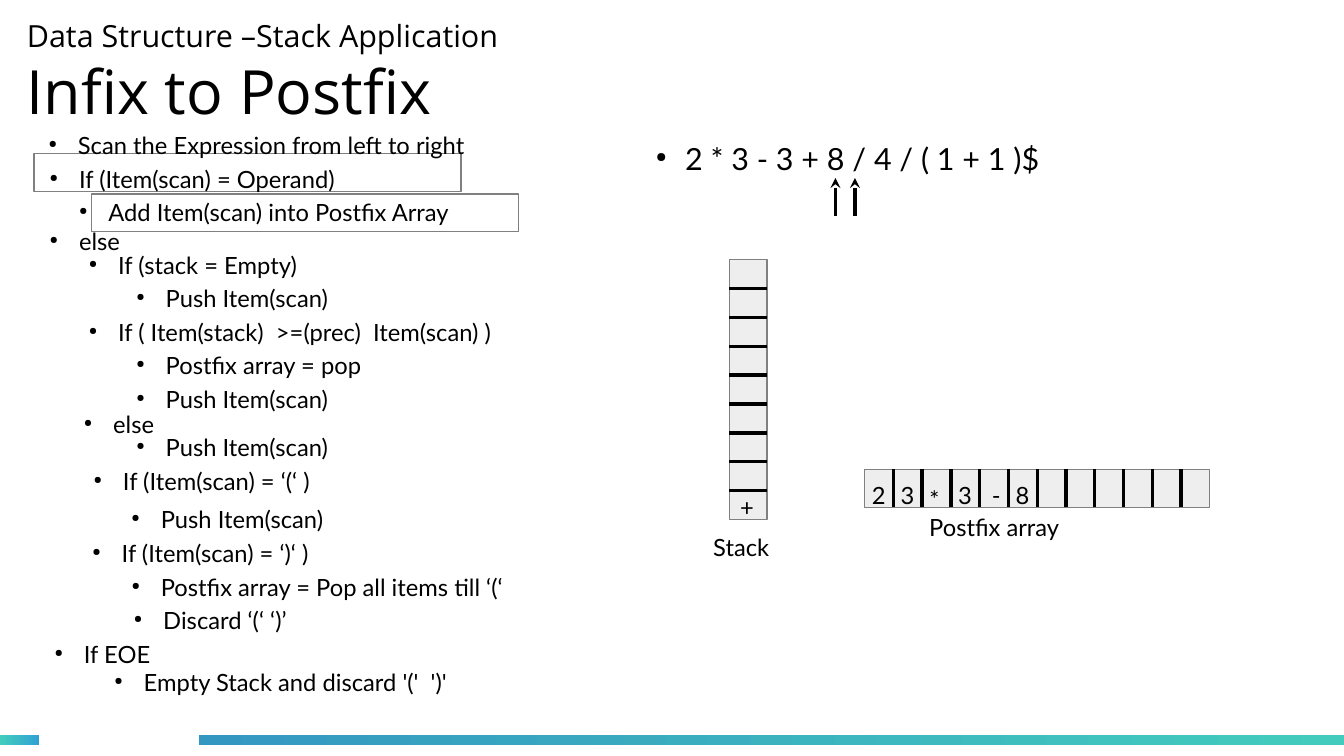
from dataclasses import dataclass

from lxml.etree import SubElement
from pptx import Presentation
from pptx.dml.color import RGBColor
from pptx.enum.shapes import MSO_CONNECTOR, MSO_SHAPE
from pptx.enum.text import MSO_ANCHOR
from pptx.oxml.ns import qn
from pptx.util import Inches, Pt

COLUMNS, ROWS = 1102, 620

TITLE = [("Data Structure –Stack Application", "kicker"), ("Infix to Postfix", "title")]
EXPRESSION = "2 * 3 - 3 + 8 / 4 / ( 1 + 1 )$"
STEPS = [
    (30, 102, 421, "Scan the Expression from left to right"),
    (31, 130, 296, "If (Item(scan) = Operand)"),
    (55, 157, 465, "Add Item(scan) into Postfix Array"),
    (31, 181, 110, "else"),
    (63, 201, 382, "If (stack = Empty)"),
    (102, 228, 220, "Push Item(scan)"),
    (63, 256, 504, "If ( Item(stack)  >=(prec)  Item(scan) )"),
    (102, 283, 237, "Postfix array = pop"),
    (102, 311, 220, "Push Item(scan)"),
    (59, 331, 94, "else"),
    (102, 350, 220, "Push Item(scan)"),
    (67, 378, 237, "If (Item(scan) = ‘(‘ )"),
    (98, 409, 220, "Push Item(scan)"),
    (66, 437, 237, "If (Item(scan) = ‘)‘ )"),
    (98, 465, 425, "Postfix array = Pop all items till ‘(‘"),
    (100, 492, 220, "Discard ‘(‘ ‘)’"),
    (35, 520, 220, "If EOE"),
    (84, 543, 347, "Empty Stack and discard '('  ')'"),
]
HIGHLIGHTS = [(28, 126, 350, 31), (75, 159, 350, 31)]
SCAN_ARROWS = [685, 701]
STACK = {"area": (598, 213, 31, 213), "slots": 9, "vertical": True}
ARRAY = {"area": (709, 385, 283, 31), "slots": 12, "vertical": False}
ARRAY_ITEMS = [("2", 0, 0), ("3", 0, 0), ("*", 0, 4), ("3", 0, 0), ("-", 4, 0), ("8", 0, 0)]
LABELS = [
    ((752, 416, 142, 36), "Postfix array"),
    ((575, 432, 74, 36), "Stack"),
    ((597, 399, 36, 36), "+"),
]


@dataclass(frozen=True)
class Theme:
    ink: str = "000000"
    paper: str = "FFFFFF"
    slot: str = "EEEEEE"
    edge: str = "808080"
    teal: str = "43CCBD"
    sky: str = "30A2D2"
    blue: str = "3497C1"
    heading: str = "Open Sans"
    body: str = "Lato"
    title: int = 36
    kicker: int = 18
    expression: int = 18
    text: int = 14


theme = Theme()
deck = Presentation()
deck.slide_width, deck.slide_height = Inches(11.02), Inches(6.2)
page = deck.slides.add_slide(deck.slide_layouts[6])


def place(*cells):
    sizes = (deck.slide_width / COLUMNS, deck.slide_height / ROWS)
    return [round(cell * sizes[index % 2]) for index, cell in enumerate(cells)]


def add_text(area, *lines, size=theme.text, font=theme.body, bullet=False,
             margins=(10, 5), anchor=MSO_ANCHOR.TOP):
    frame = page.shapes.add_textbox(*place(*area)).text_frame
    frame.word_wrap = True
    frame.vertical_anchor = anchor
    frame.margin_left, frame.margin_top = place(*margins)
    frame.margin_right, frame.margin_bottom = place(*margins)
    for index, line in enumerate(lines):
        words, points = line if isinstance(line, tuple) else (line, size)
        para = frame.add_paragraph() if index else frame.paragraphs[0]
        span = para.add_run()
        span.text = words
        span.font.size, span.font.name = Pt(points), font
        span.font.color.rgb = RGBColor.from_string(theme.ink)
        if bullet:
            add_bullet(para)


def add_bullet(para):
    properties = para._p.get_or_add_pPr()
    properties.set("marL", str(Inches(0.24)))
    properties.set("indent", str(-Inches(0.24)))
    color = SubElement(properties, qn("a:buClr"))
    SubElement(color, qn("a:srgbClr"), val=theme.ink)
    SubElement(properties, qn("a:buSzPct"), val="45000")
    SubElement(properties, qn("a:buChar"), char="●")


def add_box(shapes, area, fill):
    box = shapes.add_shape(MSO_SHAPE.RECTANGLE, *place(*area))
    box.shadow.inherit = False
    box.fill.solid()
    box.fill.fore_color.rgb = RGBColor.from_string(fill)
    box.line.color.rgb = RGBColor.from_string(theme.edge)
    box.line.width = Pt(0)


def add_bar(area, start, end):
    bar = page.shapes.add_shape(MSO_SHAPE.RECTANGLE, *place(*area))
    bar.shadow.inherit = False
    bar.line.fill.background()
    bar.fill.gradient()
    bar.fill.gradient_angle = 0
    for stop, color in zip(bar.fill.gradient_stops, (start, end)):
        stop.color.rgb = RGBColor.from_string(color)


def add_line(shapes, ends, arrow=False):
    line = shapes.add_connector(MSO_CONNECTOR.STRAIGHT, *place(*ends))
    line.line.color.rgb = RGBColor.from_string(theme.ink)
    line.line.width = Pt(0)
    if arrow:
        SubElement(line.line._get_or_add_ln(), qn("a:tailEnd"), type="stealth")
    SubElement(line._element.spPr, qn("a:effectLst"))


def add_slots(area, slots, vertical):
    left, top, width, height = area
    shapes = page.shapes.add_group_shape().shapes
    add_box(shapes, area, theme.slot)
    for index in range(1, slots):
        if vertical:
            row = top + height * index / slots
            add_line(shapes, (left, row, left + width, row))
        else:
            column = left + width * index / slots
            add_line(shapes, (column, top + height, column, top))


def main():
    add_bar((0, 603, 32, 8), theme.teal, theme.sky)
    add_bar((163, 603, COLUMNS - 163, 8), theme.blue, theme.teal)
    add_text((22, 8, 1002, 102), *[(words, getattr(theme, role)) for words, role in TITLE],
             font=theme.heading, margins=(0, 0), anchor=MSO_ANCHOR.MIDDLE)
    add_text((528, 110, 390, 44), EXPRESSION, size=theme.expression, bullet=True)
    for area in HIGHLIGHTS:
        add_box(page.shapes, area, theme.paper)
    for left, top, width, words in STEPS:
        add_text((left, top, width, 39), words, bullet=True)
    for slots in (STACK, ARRAY):
        add_slots(**slots)
    for area, words in LABELS:
        add_text(area, words)
    left, top, width, height = ARRAY["area"]
    pitch = width / ARRAY["slots"]
    for index, (item, right, down) in enumerate(ARRAY_ITEMS):
        add_text((left - 4 + index * pitch + right, top + 4 + down, 32, 36), item)
    for column in SCAN_ARROWS:
        add_line(page.shapes, (column, 177, column, 146), arrow=True)
    deck.save("out.pptx")


if __name__ == "__main__":
    main()
